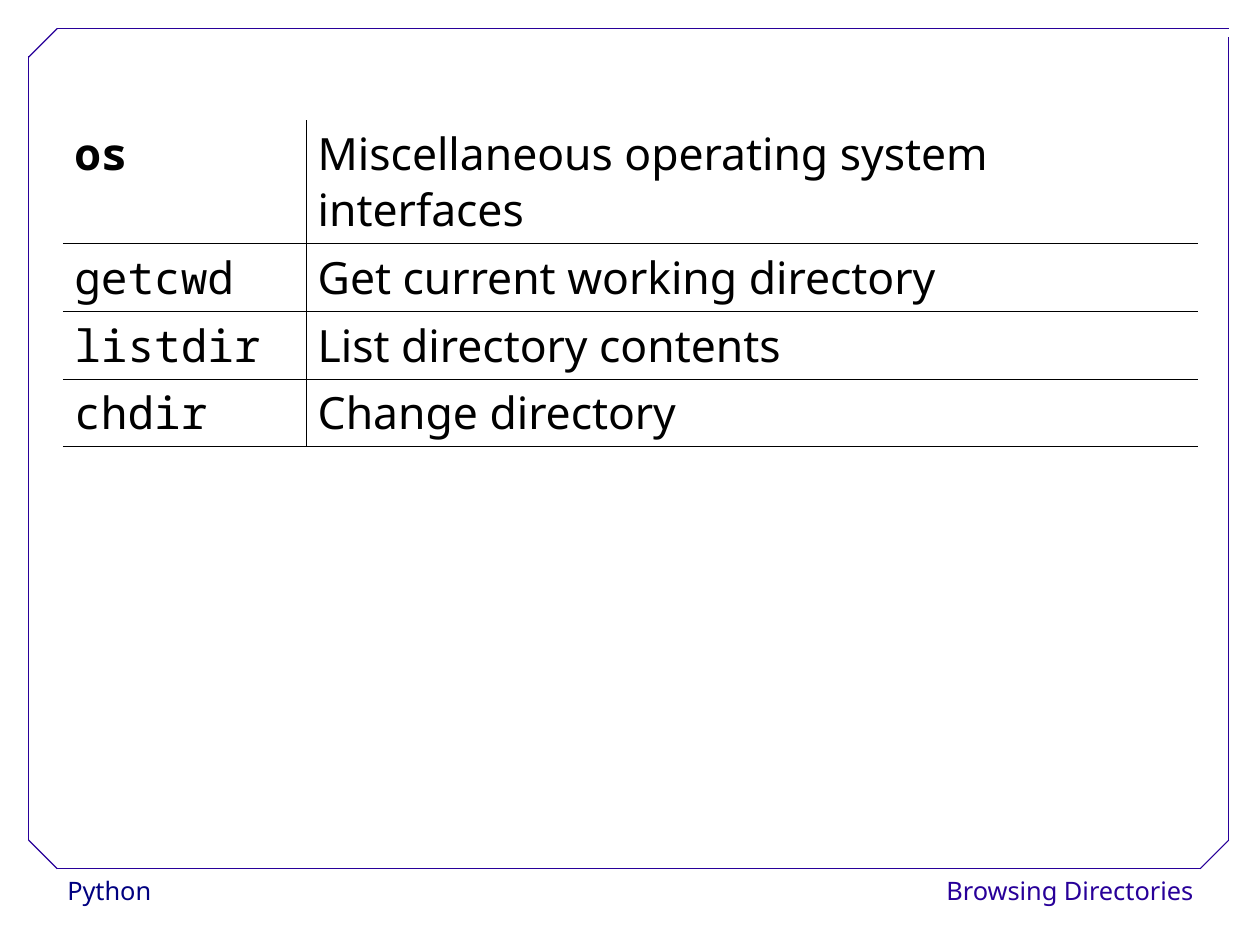
from dataclasses import dataclass

import lxml.etree
import pptx
import pptx.dml.color
import pptx.enum.shapes
import pptx.enum.text
import pptx.oxml.ns
import pptx.util

Inches = pptx.util.Inches
Pt = pptx.util.Pt
Align = pptx.enum.text.PP_ALIGN
qn = pptx.oxml.ns.qn

COLORS = {"page": "FFFFFF", "text": "000000", "frame": "280099", "course": "000080"}
TEXT_FONT = "Noto Sans"
CODE_FONT = "Noto Sans Mono"
BORDER_WIDTH = 0.45
CM_PER_INCH = 2.54


@dataclass
class FooterLabel:
    text: str
    left: float
    width: float
    color: str
    align: Align


@dataclass
class FrameLine:
    x1: float
    y1: float
    x2: float
    y2: float


@dataclass
class FunctionRow:
    name: str
    meaning: str
    height: float = 0.55
    bold: bool = False


FOOTERS = [
    FooterLabel("Python", 0.49, 2.15, "course", Align.LEFT),
    FooterLabel("Browsing Directories", 9.14, 1.4, "frame", Align.RIGHT),
]
FRAME = [
    FrameLine(0.5, 7.6, 10.5, 7.6),
    FrameLine(0.25, 7.35, 0.25, 0.49),
    FrameLine(0.5, 0.25, 10.75, 0.25),
    FrameLine(10.75, 7.35, 10.75, 0.32),
    FrameLine(0.25, 0.5, 0.5, 0.25),
    FrameLine(10.5, 7.6, 10.75, 7.35),
    FrameLine(0.25, 7.35, 0.5, 7.6),
]
ROWS = [
    FunctionRow("os", "Miscellaneous operating system interfaces", 0.97, True),
    FunctionRow("getcwd", "Get current working directory"),
    FunctionRow("listdir", "List directory contents"),
    FunctionRow("chdir", "Change directory"),
]
COLUMN_WIDTHS = [2.13, 7.8]


def rgb(name: str) -> pptx.dml.color.RGBColor:
    return pptx.dml.color.RGBColor.from_string(COLORS[name])


def format_run(paragraph, font_name: str, size: float, color: str, bold: bool = False) -> None:
    font = paragraph.runs[0].font
    font.name = font_name
    font.size = Pt(size)
    font.bold = bold
    font.color.rgb = rgb(color)


def add_footer(slide, label: FooterLabel) -> None:
    shape = slide.shapes.add_shape(
        pptx.enum.shapes.MSO_SHAPE.RECTANGLE,
        Inches(label.left), Inches(7.6), Inches(label.width), Inches(0.4))
    shape.shadow.inherit = False
    shape.fill.solid()
    shape.fill.fore_color.rgb = rgb("page")
    shape.line.fill.background()
    text_frame = shape.text_frame
    text_frame.word_wrap = False
    text_frame.vertical_anchor = pptx.enum.text.MSO_ANCHOR.TOP
    text_frame.text = label.text
    paragraph = text_frame.paragraphs[0]
    paragraph.alignment = label.align
    paragraph.line_spacing = 1.02
    format_run(paragraph, TEXT_FONT, 16, label.color)


def add_frame_line(slide, line: FrameLine) -> None:
    connector = slide.shapes.add_connector(
        pptx.enum.shapes.MSO_CONNECTOR.STRAIGHT,
        Inches(line.x1), Inches(line.y1), Inches(line.x2), Inches(line.y2))
    connector.line.color.rgb = rgb("frame")
    connector.line.width = Pt(0.75)
    properties = connector._element.spPr
    lxml.etree.SubElement(properties, qn("a:effectLst"))


def set_borders(cell, visible: set[str]) -> None:
    """Draw the sides named in visible (L, R, T, B) and clear the others."""
    properties = cell._tc.get_or_add_tcPr()
    for index, side in enumerate("LRTB"):
        border = lxml.etree.Element(qn(f"a:ln{side}"), w=str(Pt(BORDER_WIDTH)))
        if side in visible:
            fill = lxml.etree.SubElement(border, qn("a:solidFill"))
            lxml.etree.SubElement(fill, qn("a:srgbClr"), val=COLORS["text"])
        else:
            lxml.etree.SubElement(border, qn("a:noFill"))
        properties.insert(index, border)


def fill_cell(cell, text: str, font_name: str, bold: bool, borders: set[str]) -> None:
    cell.fill.background()
    set_borders(cell, borders)
    cell.margin_left = cell.margin_right = Inches(0.1)
    cell.margin_top = cell.margin_bottom = Inches(0.05)
    cell.text_frame.text = text
    paragraph = cell.text_frame.paragraphs[0]
    paragraph.line_spacing = 0.93
    paragraph.space_after = Pt(14.3)
    format_run(paragraph, font_name, 28, "text", bold)


def add_function_table(slide) -> None:
    table = slide.shapes.add_table(
        len(ROWS), len(COLUMN_WIDTHS), Inches(0.55), Inches(1.05),
        Inches(sum(COLUMN_WIDTHS)), Inches(sum(row.height for row in ROWS))).table
    table.first_row = False
    table.horz_banding = False
    for column, width in zip(table.columns, COLUMN_WIDTHS):
        column.width = Inches(width)
    for index, row in enumerate(ROWS):
        table.rows[index].height = Inches(row.height)
        rules = {"T", "B"} if index else {"B"}
        fill_cell(table.cell(index, 0), row.name, CODE_FONT, row.bold, rules | {"R"})
        fill_cell(table.cell(index, 1), row.meaning, TEXT_FONT, False, rules | {"L"})


def main() -> None:
    presentation = pptx.Presentation()
    presentation.slide_width = Inches(28 / CM_PER_INCH)
    presentation.slide_height = Inches(21 / CM_PER_INCH)
    presentation.element.sldSz.attrib.pop("type", None)
    slide = presentation.slides.add_slide(presentation.slide_layouts[6])
    slide.background.fill.solid()
    slide.background.fill.fore_color.rgb = rgb("page")
    for label in FOOTERS:
        add_footer(slide, label)
    for line in FRAME:
        add_frame_line(slide, line)
    add_function_table(slide)
    presentation.save("out.pptx")


if __name__ == "__main__":
    main()
